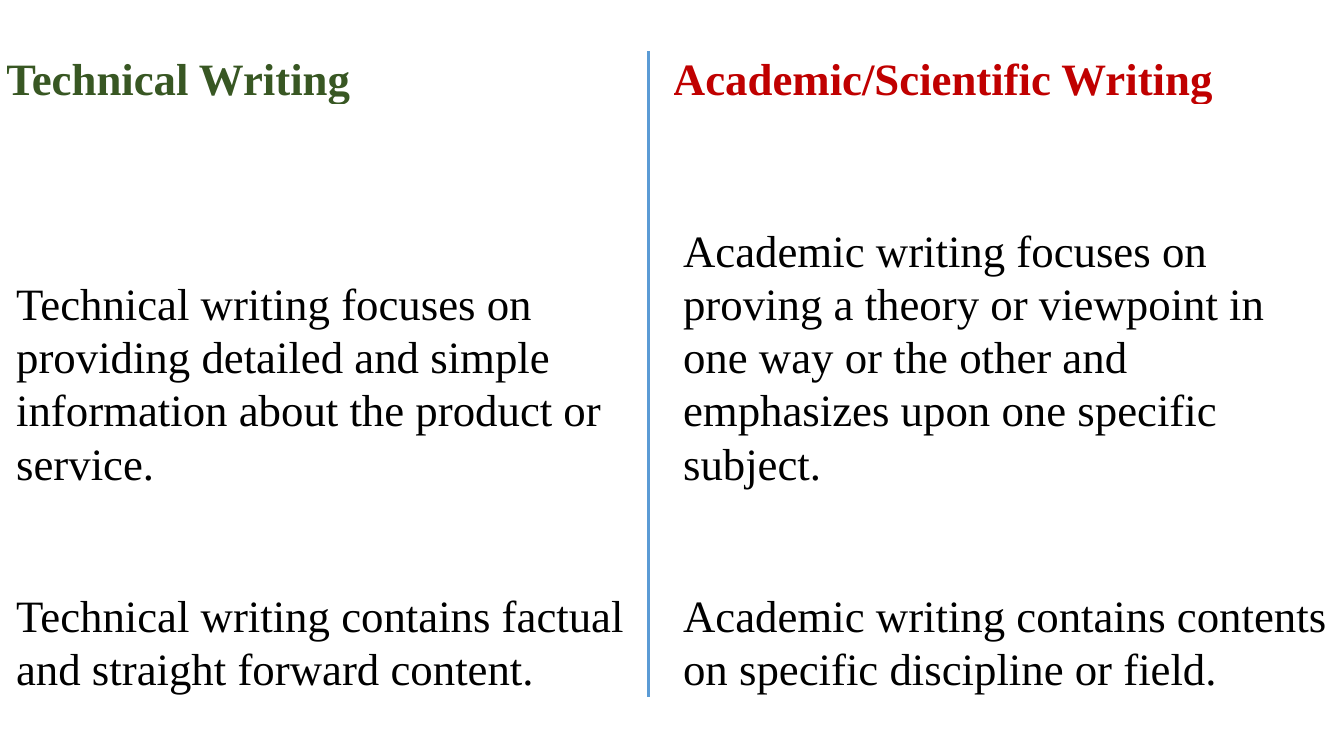
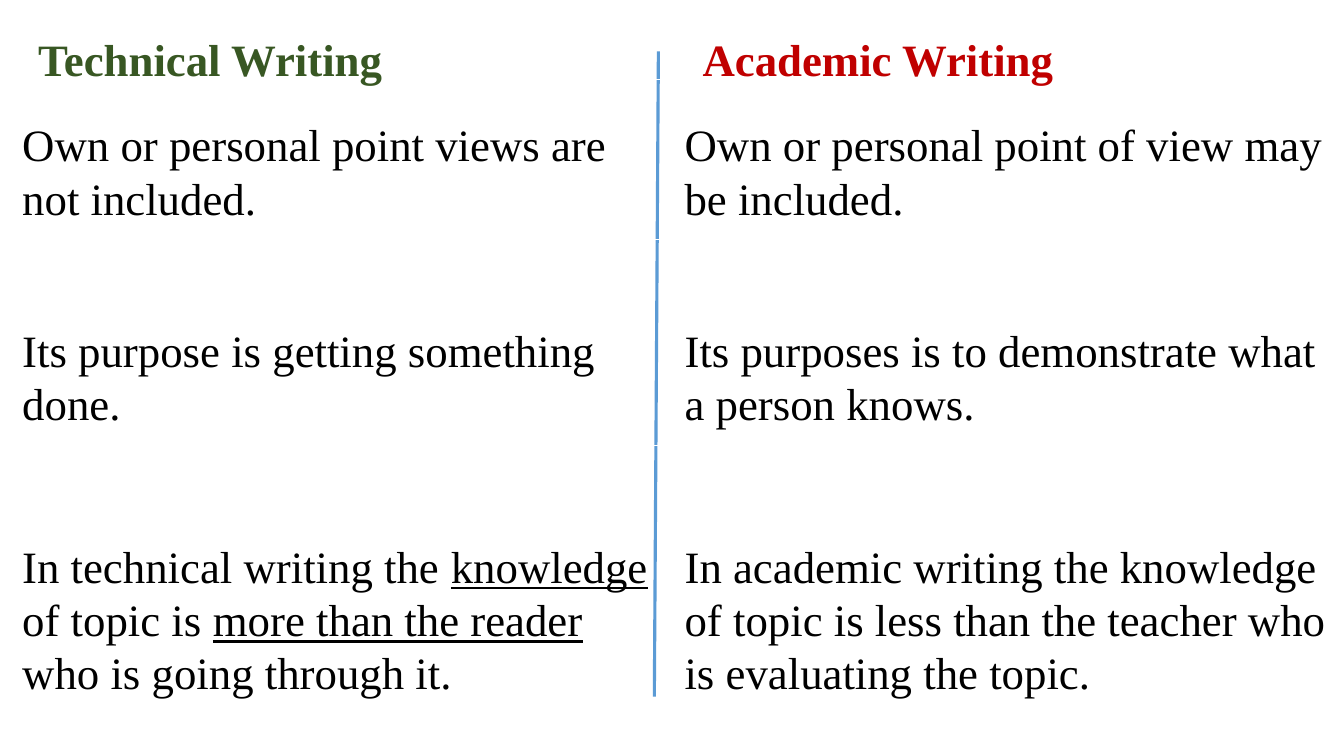
from lxml.etree import SubElement
from pptx import Presentation
from pptx.dml.color import RGBColor
from pptx.enum.shapes import MSO_CONNECTOR
from pptx.enum.text import MSO_ANCHOR, MSO_AUTO_SIZE
from pptx.oxml.ns import qn
from pptx.util import Inches, Pt

GREEN, RED, BLACK, BLUE = "385723", "C00000", "000000", "5B9BD5"
BODY = {"name": "Times New Roman", "size": Pt(32), "bold": False}
HEADING = {**BODY, "bold": True}
BODY_MARGINS = (0.1, 0.15)
HEADING_MARGINS = (0, 0)
DIVIDER_TOP, DIVIDER_BOTTOM = 0.51, 6.91

FOCUS_ROWS = [
    ("Technical writing focuses on providing detailed and simple information "
     "about the product or service.",
     "Academic writing focuses on proving a theory or viewpoint in one way or "
     "the other and emphasizes upon one specific subject."),
    ("Technical writing contains factual and straight forward content.",
     "Academic writing contains contents on specific discipline or field."),
]
PURPOSE_ROWS = [
    ("Own or personal point views are not included.",
     "Own or personal point of view may be included."),
    ("Its purpose is getting something done.",
     "Its purposes is to demonstrate what a person knows."),
    ("In technical writing the _knowledge_ of topic is "
     "_more than the reader _who is going through it.",
     "In academic writing the knowledge of topic is less than the teacher "
     "who is evaluating the topic."),
]


def colour(hex_value):
    """Turn a hex string into a colour."""
    return RGBColor.from_string(hex_value)


def apply(target, values):
    """Set every attribute named in a dict of format values."""
    for attribute, value in values.items():
        setattr(target, attribute, value)


def write(paragraph, wording, style, hex_value):
    """Write styled wording, underlining the parts between underscores."""
    for index, part in enumerate(wording.split("_")):
        run = paragraph.add_run()
        run.text = part
        apply(run.font, style)
        run.font.color.rgb = colour(hex_value)
        if index % 2:
            run.font.underline = True


def add_divider(slide, top_x, bottom_x):
    """Draw the line between the two kinds of writing."""
    divider = slide.shapes.add_connector(
        MSO_CONNECTOR.STRAIGHT, Inches(top_x), Inches(DIVIDER_TOP),
        Inches(bottom_x), Inches(DIVIDER_BOTTOM))
    divider.line.color.rgb = colour(BLUE)
    divider.line.width = Pt(2.25)
    SubElement(divider._element.spPr, qn("a:effectLst"))


def fill_cell(cell, wording, style, hex_value, margins):
    """Format one comparison cell and write its wording."""
    side, end = map(Inches, margins)
    apply(cell, {"margin_left": side, "margin_right": side,
                 "margin_top": end, "margin_bottom": end,
                 "vertical_anchor": MSO_ANCHOR.BOTTOM})
    cell.fill.background()
    paragraph = cell.text_frame.paragraphs[0]
    paragraph.line_spacing = 1.07
    write(paragraph, wording, style, hex_value)


def add_comparison(slide, box, heights, rows, headings=None):
    """Place a two-column comparison in a box, with an optional heading row."""
    contents = ([headings] if headings else []) + rows
    comparison = slide.shapes.add_table(
        len(contents), 2, *map(Inches, box)).table
    apply(comparison, {"first_row": False, "horz_banding": False})
    for row, height in zip(comparison.rows, heights):
        row.height = Inches(height)
    for row_index, pair in enumerate(contents):
        is_heading = headings is not None and row_index == 0
        hues = (GREEN, RED) if is_heading else (BLACK, BLACK)
        style = HEADING if is_heading else BODY
        margins = HEADING_MARGINS if is_heading else BODY_MARGINS
        for column, (wording, hue) in enumerate(zip(pair, hues)):
            fill_cell(comparison.cell(row_index, column), wording, style,
                      hue, margins)


def add_heading(slide, box, wording, hex_value):
    """Place a free-standing column heading in a box."""
    frame = slide.shapes.add_textbox(*map(Inches, box)).text_frame
    apply(frame, {"word_wrap": False,
                  "auto_size": MSO_AUTO_SIZE.SHAPE_TO_FIT_TEXT})
    write(frame.paragraphs[0], wording, HEADING, hex_value)


def build_focus_slide(slide):
    """Compare the focus and content of the two kinds of writing."""
    add_comparison(slide, (0.06, 0.35, 13.23, 6.7), (0.69, 3.97, 2.04),
                   FOCUS_ROWS,
                   ("Technical Writing", "Academic/Scientific Writing"))
    add_divider(slide, 6.43, 6.43)


def build_purpose_slide(slide):
    """Compare the views, purpose and knowledge in the two kinds of writing."""
    add_divider(slide, 6.53, 6.49)
    add_comparison(slide, (0.12, 0.79, 13.14, 6.3), (1.59, 2.04, 2.67),
                   PURPOSE_ROWS)
    add_heading(slide, (0.28, 0.27, 3.76, 0.64), "Technical Writing", GREEN)
    add_heading(slide, (6.87, 0.27, 3.94, 0.64), "Academic Writing", RED)


def main():
    """Build and save the presentation."""
    presentation = Presentation()
    apply(presentation, {"slide_width": Inches(13.33),
                         "slide_height": Inches(7.5)})
    blank = presentation.slide_layouts[6]
    for build in (build_focus_slide, build_purpose_slide):
        build(presentation.slides.add_slide(blank))
    presentation.save("out.pptx")


if __name__ == "__main__":
    main()
